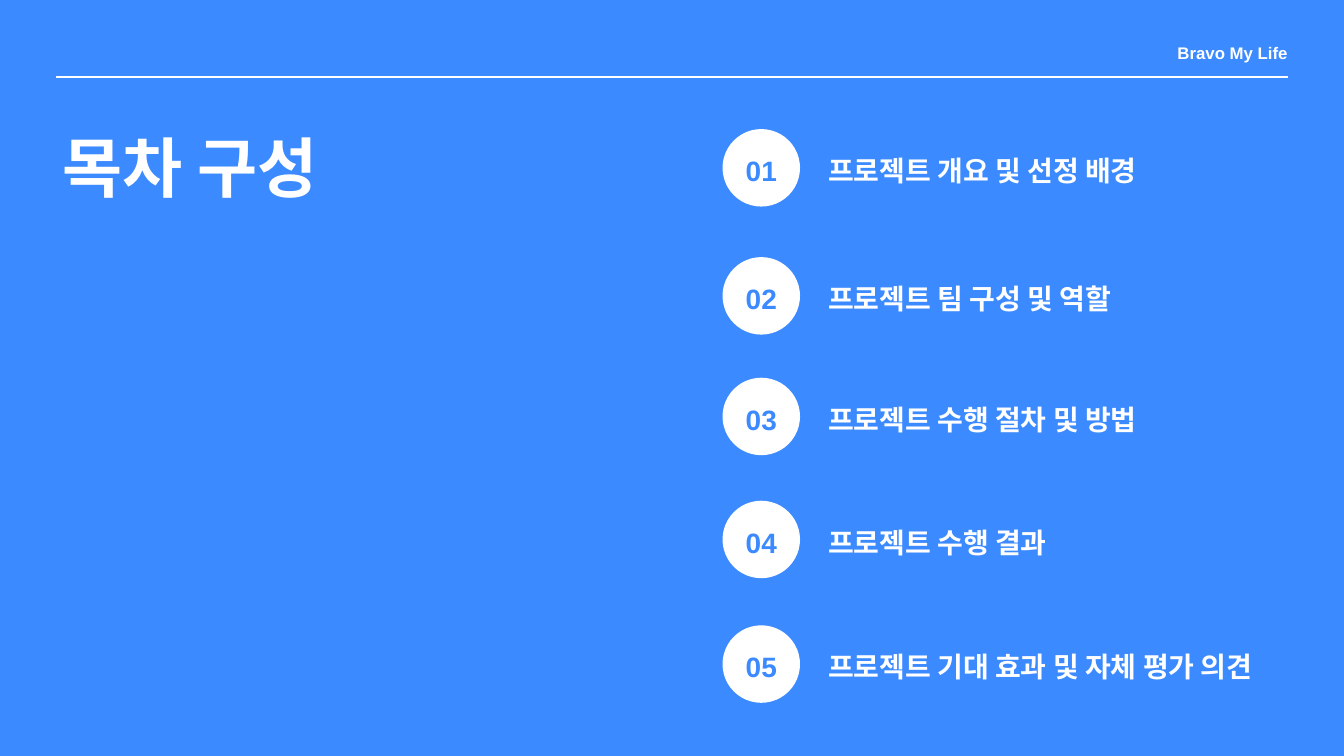
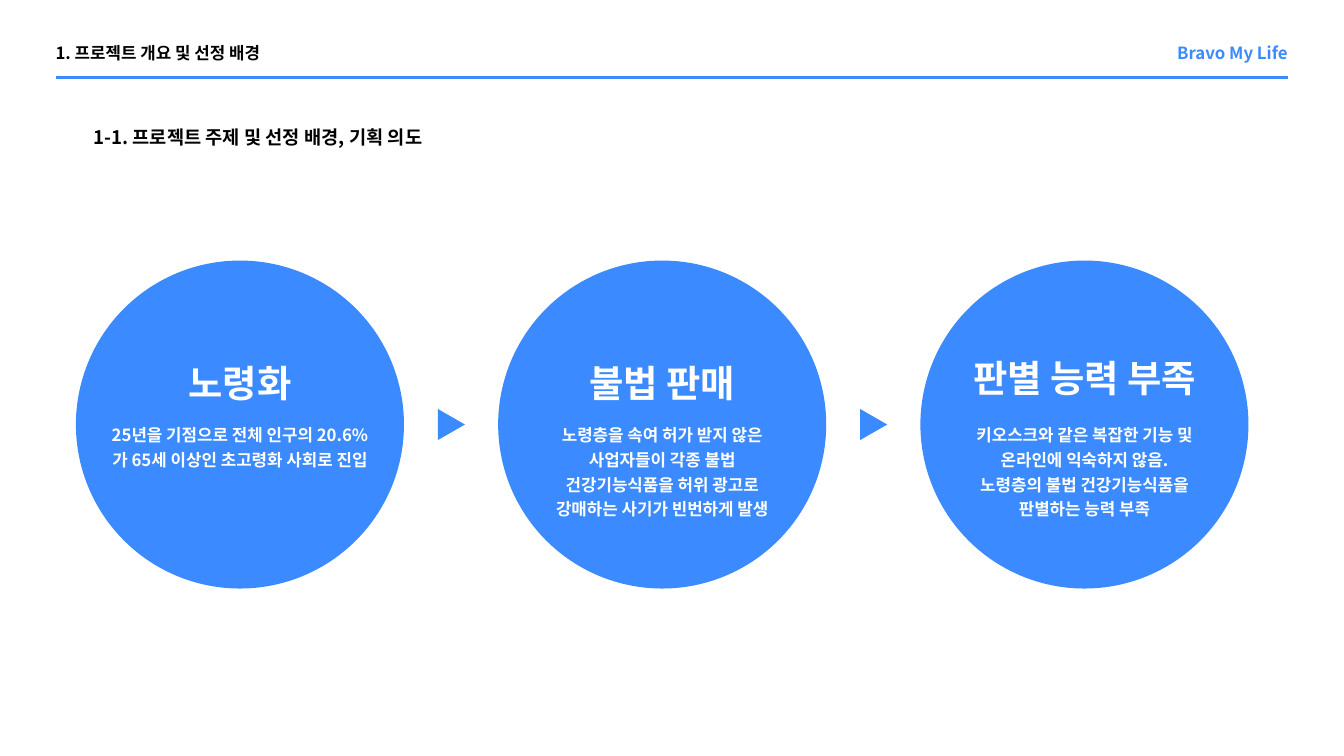
import lxml.etree
import pptx
import pptx.dml.color
import pptx.enum.shapes
import pptx.enum.text
import pptx.util
from pptx.util import Cm, Pt

BLUE, WHITE, BLACK = "3B8AFF", "FFFFFF", "000000"
SANS, KOREAN = "Arial", "Noto Sans CJK KR"
LEFT = pptx.enum.text.PP_ALIGN.LEFT
CENTER = pptx.enum.text.PP_ALIGN.CENTER
RIGHT = pptx.enum.text.PP_ALIGN.RIGHT
JUSTIFY = pptx.enum.text.PP_ALIGN.JUSTIFY
OVAL = pptx.enum.shapes.MSO_SHAPE.OVAL
TRIANGLE = pptx.enum.shapes.MSO_SHAPE.ISOSCELES_TRIANGLE
FRAME_FORMAT = {
    "margin_left": 0, "margin_top": 0, "margin_right": 0, "margin_bottom": 0,
    "word_wrap": True,
    "auto_size": pptx.enum.text.MSO_AUTO_SIZE.NONE,
    "vertical_anchor": pptx.enum.text.MSO_ANCHOR.TOP,
}


def rgb(hex_colour):
    return pptx.dml.color.RGBColor.from_string(hex_colour)


def write(shape, box, text, font_name, size, colour, alignment, spacing):
    """Place a text shape at box (left, top, width, height in cm) and fill it."""
    for name, value in zip(("left", "top", "width", "height"), box):
        setattr(shape, name, Cm(value))
    for name, value in FRAME_FORMAT.items():
        setattr(shape.text_frame, name, value)
    shape.text_frame.text = text
    font_format = {"name": font_name, "size": Pt(size), "bold": True}
    for paragraph in shape.text_frame.paragraphs:
        paragraph.alignment = alignment
        paragraph.line_spacing = Pt(spacing)
        font = paragraph.runs[0].font
        for name, value in font_format.items():
            setattr(font, name, value)
        font.color.rgb = rgb(colour)


presentation = pptx.Presentation()
presentation.slide_width = Cm(50.8)
presentation.slide_height = Cm(28.58)
title_only = presentation.slide_layouts[5]

# Shared frame: background, header rule and project name
slides = []
for background, accent, rule_width, font_name in (
    (BLUE, WHITE, 2.25, SANS),
    (WHITE, BLUE, 3, KOREAN),
):
    slide = presentation.slides.add_slide(title_only)
    slide.background.fill.solid()
    slide.background.fill.fore_color.rgb = rgb(background)
    rule = slide.shapes.add_connector(
        pptx.enum.shapes.MSO_CONNECTOR.STRAIGHT, Cm(2.1), Cm(2.92), Cm(48.7), Cm(2.92))
    rule.line.color.rgb = rgb(accent)
    rule.line.width = Pt(rule_width)
    lxml.etree.SubElement(rule._element.spPr, pptx.oxml.ns.qn("a:effectLst"))
    write(slide.shapes.add_textbox(0, 0, 0, 0), (42.73, 1.5, 5.94, 0.85),
          "Bravo My Life", font_name, 18, accent, RIGHT, 25.2)
    slides.append(slide)
agenda, background_slide = slides
discs = []

# Slide 1: agenda
write(agenda.shapes.title, (-0.63, 4.32, 15.6, 3.48),
      "목차 구성", SANS, 70, WHITE, CENTER, 98)
agenda_items = (
    (4.88, 14.43, "프로젝트 개요 및 선정 배경"),
    (9.72, 14.43, "프로젝트 팀 구성 및 역할"),
    (14.28, 14.43, "프로젝트 수행 절차 및 방법"),
    (18.93, 11.3, "프로젝트 수행 결과"),
    (23.64, 18.44, "프로젝트 기대 효과 및 자체 평가 의견"),
)
for number, (top, label_width, label) in enumerate(agenda_items, start=1):
    disc = agenda.shapes.add_shape(OVAL, Cm(27.31), Cm(top), Cm(2.93), Cm(2.93))
    discs.append((disc, WHITE))
    for left, width, text, colour, alignment in (
        (27.31, 2.93, f"{number:02}", BLUE, CENTER),
        (31.3, label_width, label, WHITE, LEFT),
    ):
        write(agenda.shapes.add_textbox(0, 0, 0, 0), (left, top + 0.71, width, 1.5),
              text, SANS, 30, colour, alignment, 42)

# Slide 2: three causes in a chain
write(background_slide.shapes.title, (2.1, 1.5, 9.1, 0.81),
      "1. 프로젝트 개요 및 선정 배경", KOREAN, 18, BLACK, JUSTIFY, 25.2)
write(background_slide.shapes.add_textbox(0, 0, 0, 0), (3.53, 4.6, 18.19, 0.91),
      "1-1. 프로젝트 주제 및 선정 배경, 기획 의도", KOREAN, 20, BLACK, LEFT, 28)
causes = (
    (13.34, 5.18, "노령화", 2.9,
     "25년을 기점으로 전체 인구의 20.6%가 65세 이상인 초고령화 사회로 진입"),
    (13.34, 6.68, "불법 판매", 3.84,
     "노령층을 속여 허가 받지 않은 사업자들이 각종 불법 건강기능식품을 "
     "허위 광고로 강매하는 사기가 빈번하게 발생"),
    (13.16, 10.64, "판별 능력 부족", 3.84,
     "키오스크와 같은 복잡한 기능 및 온라인에 익숙하지 않음.\n"
     "노령층의 불법 건강기능식품을 판별하는 능력 부족"),
)
diameter, pitch = 12.4, 15.96
for index, (heading_top, heading_width, heading, body_height, body) in enumerate(causes):
    left = 2.87 + index * pitch
    center = left + diameter / 2
    disc = background_slide.shapes.add_shape(
        OVAL, Cm(left), Cm(9.85), Cm(diameter), Cm(diameter))
    discs.append((disc, BLUE))
    if index < len(causes) - 1:
        arrow = background_slide.shapes.add_shape(
            TRIANGLE, Cm(left + 13.61), Cm(15.54), Cm(1.17), Cm(1.02))
        arrow.rotation = 90
        discs.append((arrow, BLUE))
    write(background_slide.shapes.add_textbox(0, 0, 0, 0),
          (center - heading_width / 2, heading_top, heading_width, 1.83),
          heading, KOREAN, 40, WHITE, CENTER, 56)
    write(background_slide.shapes.add_textbox(0, 0, 0, 0),
          (center - 4.85, 15.88, 9.7, body_height),
          body, KOREAN, 18, WHITE, CENTER, 26.6)

for shape, colour in discs:
    shape.shadow.inherit = False
    shape.fill.solid()
    shape.fill.fore_color.rgb = rgb(colour)
    shape.line.fill.background()

presentation.save("out.pptx")
